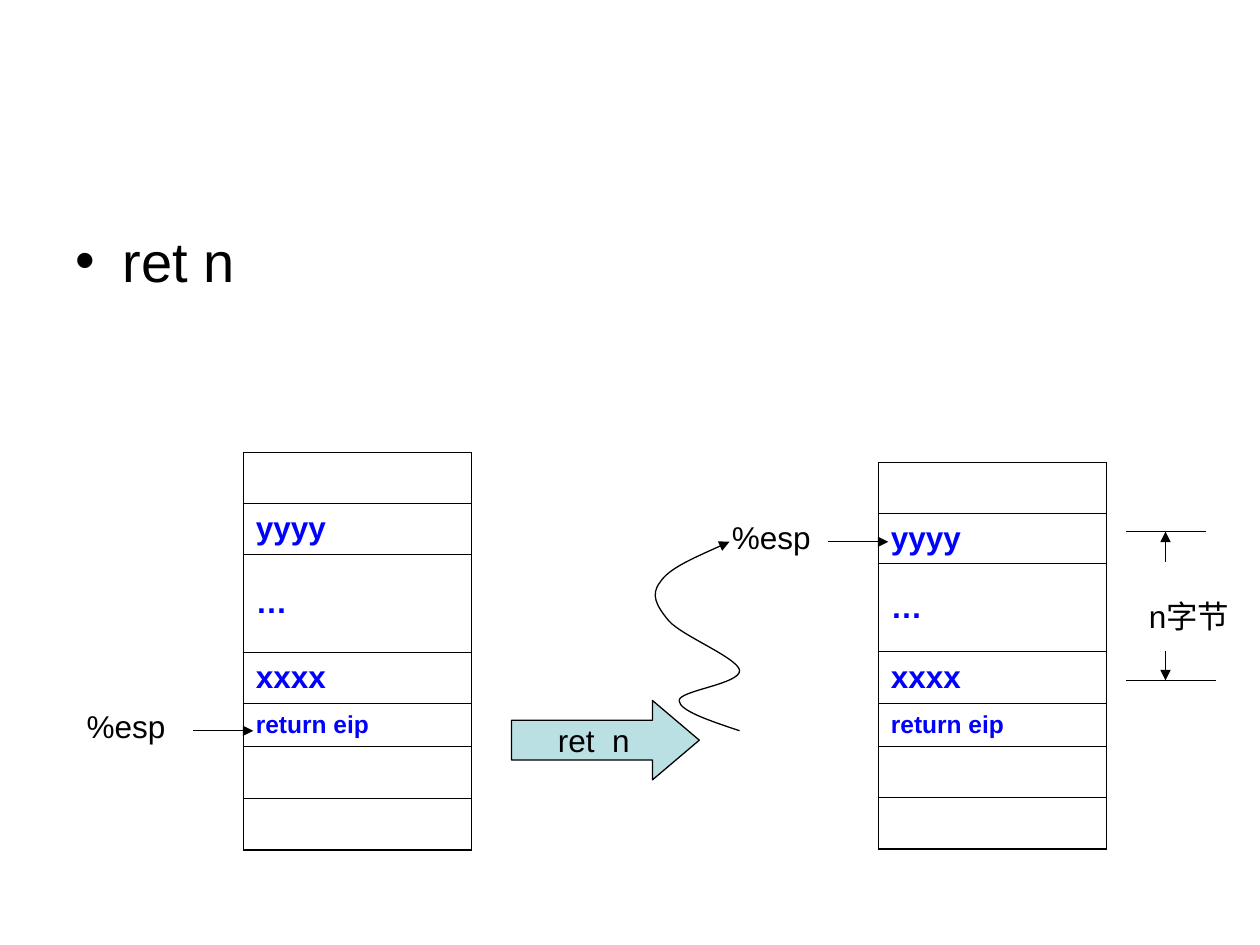
import pptx
import pptx.dml.color
import pptx.enum.shapes
import pptx.enum.text
import pptx.oxml
import pptx.oxml.ns
import pptx.util

# Grid of 100 columns by 75 rows
COL = pptx.util.Inches(10) // 100
ROW = pptx.util.Inches(7.5) // 75
BLACK, BLUE, TEAL = "000000", "0000FF", "BBE0E3"
LABELS = ["", "yyyy", "…", "xxxx", "return eip", "", ""]


def x(cols):
    return round(cols * COL)


def y(rows):
    return round(rows * ROW)


def color(value):
    return pptx.dml.color.RGBColor.from_string(value)


def element(xml):
    ns = pptx.oxml.ns.nsdecls("a")
    return pptx.oxml.parse_xml(xml.replace(">", f" {ns}>", 1))


def style(p, size, value=BLACK, bold=False):
    for r in p.runs:
        r.font.name = "Arial"
        r.font.size = pptx.util.Pt(size)
        r.font.bold = bold
        r.font.color.rgb = color(value)


def outline(sp, arrow=False):
    sp.line.color.rgb = color(BLACK)
    sp.line.width = pptx.util.Pt(0.75)
    if arrow:
        sp.line._get_or_add_ln().append(element('<a:tailEnd type="triangle"></a:tailEnd>'))


def add_line(s, start, end, arrow=False):
    sp = s.shapes.add_connector(pptx.enum.shapes.MSO_CONNECTOR.STRAIGHT,
                                x(start[0]), y(start[1]), x(end[0]), y(end[1]))
    outline(sp, arrow)
    sp._element.spPr.append(element("<a:effectLst></a:effectLst>"))


def add_text(s, left, top, width, height, text, size=18):
    sp = s.shapes.add_textbox(x(left), y(top), x(width), y(height))
    tf = sp.text_frame
    tf.word_wrap = True
    tf.text = text
    style(tf.paragraphs[0], size)
    return tf.paragraphs[0]


def add_bullet(p, indent):
    pPr = p._p.get_or_add_pPr()
    pPr.set("marL", str(x(indent)))
    pPr.set("indent", str(-x(indent)))
    pPr.append(element('<a:buFont typeface="Arial"></a:buFont>'))
    pPr.append(element('<a:buChar char="•"></a:buChar>'))


def set_borders(cell, bottom):
    tcPr = cell._tc.get_or_add_tcPr()
    widths = {"lnL": 0.45, "lnR": 0.45, "lnT": 0.45, "lnB": bottom}
    for i, (tag, width) in enumerate(widths.items()):
        tcPr.insert(i, element(
            f'<a:{tag} w="{pptx.util.Pt(width)}"><a:solidFill>'
            f'<a:srgbClr val="{BLACK}"/></a:solidFill></a:{tag}>'))


def add_stack(s, left, top, gap_height):
    heights = [4, 4, gap_height, 4.1, 3.4, 4.1, 4.1]
    frame = s.shapes.add_table(len(LABELS), 1, x(left), y(top), x(18.1), y(sum(heights)))
    table = frame.table
    table.first_row = table.horz_banding = False
    for i, (label, height) in enumerate(zip(LABELS, heights)):
        table.rows[i].height = y(height)
        cell = table.cell(i, 0)
        cell.text = label
        cell.vertical_anchor = pptx.enum.text.MSO_ANCHOR.MIDDLE
        cell.fill.background()
        style(cell.text_frame.paragraphs[0], 14 if label == "return eip" else 18, BLUE, True)
        set_borders(cell, 1.08 if i == len(LABELS) - 1 else 0.45)


def add_block_arrow(s, left, top, width, height, text):
    sp = s.shapes.add_shape(pptx.enum.shapes.MSO_SHAPE.RIGHT_ARROW,
                            x(left), y(top), x(width), y(height))
    sp.adjustments[1] = 0.59
    sp.shadow.inherit = False
    sp.fill.solid()
    sp.fill.fore_color.rgb = color(TEAL)
    outline(sp)
    tf = sp.text_frame
    tf.word_wrap = False
    tf.vertical_anchor = pptx.enum.text.MSO_ANCHOR.MIDDLE
    tf.text = text
    tf.paragraphs[0].alignment = pptx.enum.text.PP_ALIGN.CENTER
    style(tf.paragraphs[0], 18)


def add_curve(s, start, controls):
    builder = s.shapes.build_freeform(x(start[0]), y(start[1]))
    builder.add_line_segments([(x(a), y(b)) for a, b in controls], close=False)
    sp = builder.convert_to_shape()
    sp.shadow.inherit = False
    sp.fill.background()
    outline(sp, arrow=True)
    # Every three segments become one Bezier curve
    segments = list(sp._element.iter(pptx.oxml.ns.qn("a:lnTo")))
    for i in range(0, len(segments), 3):
        curve = element("<a:cubicBezTo></a:cubicBezTo>")
        segments[i].addprevious(curve)
        for segment in segments[i:i + 3]:
            curve.append(segment[0])
            segment.getparent().remove(segment)


def main():
    prs = pptx.Presentation()
    prs.slide_width, prs.slide_height = x(100), y(75)
    s = prs.slides.add_slide(prs.slide_layouts[6])

    # Stack before the return
    add_stack(s, 19.3, 35.9, 7.8)
    add_text(s, 5.9, 55.6, 8.7, 4, "%esp")
    add_line(s, (15.3, 58), (20.1, 58), arrow=True)

    # Stack after the return
    add_stack(s, 69.7, 36.7, 7)
    add_text(s, 57.1, 40.6, 8.7, 4, "%esp")
    add_line(s, (65.7, 43), (70.5, 43), arrow=True)

    # Instruction
    add_block_arrow(s, 40.6, 55.6, 14.9, 6.3, "ret  n")

    # Span of n bytes
    for edge, inner, right in [(42.2, 44.6, 95.7), (54, 51.7, 96.5)]:
        add_line(s, (89.4, edge), (right, edge))
        add_line(s, (92.5, inner), (92.5, edge), arrow=True)
    add_text(s, 90.2, 46.9, 9.8, 4, "n字节")

    # Heading bullet
    add_bullet(add_text(s, 5, 17.5, 90, 9.8, "ret n", 32), 3.75)

    # Movement of the stack pointer
    add_curve(s, (58.7, 58), [
        (56.3, 57.2), (53.9, 56.4), (53.9, 55.6),
        (53.9, 54.8), (58.8, 54.3), (58.7, 53.2),
        (58.5, 52.2), (54.2, 50.5), (53.1, 49.3),
        (52.1, 48.1), (51.6, 47.2), (52.4, 46.2),
        (53.1, 45.1), (55.5, 44.1), (57.9, 43)])

    prs.save("out.pptx")


if __name__ == "__main__":
    main()
